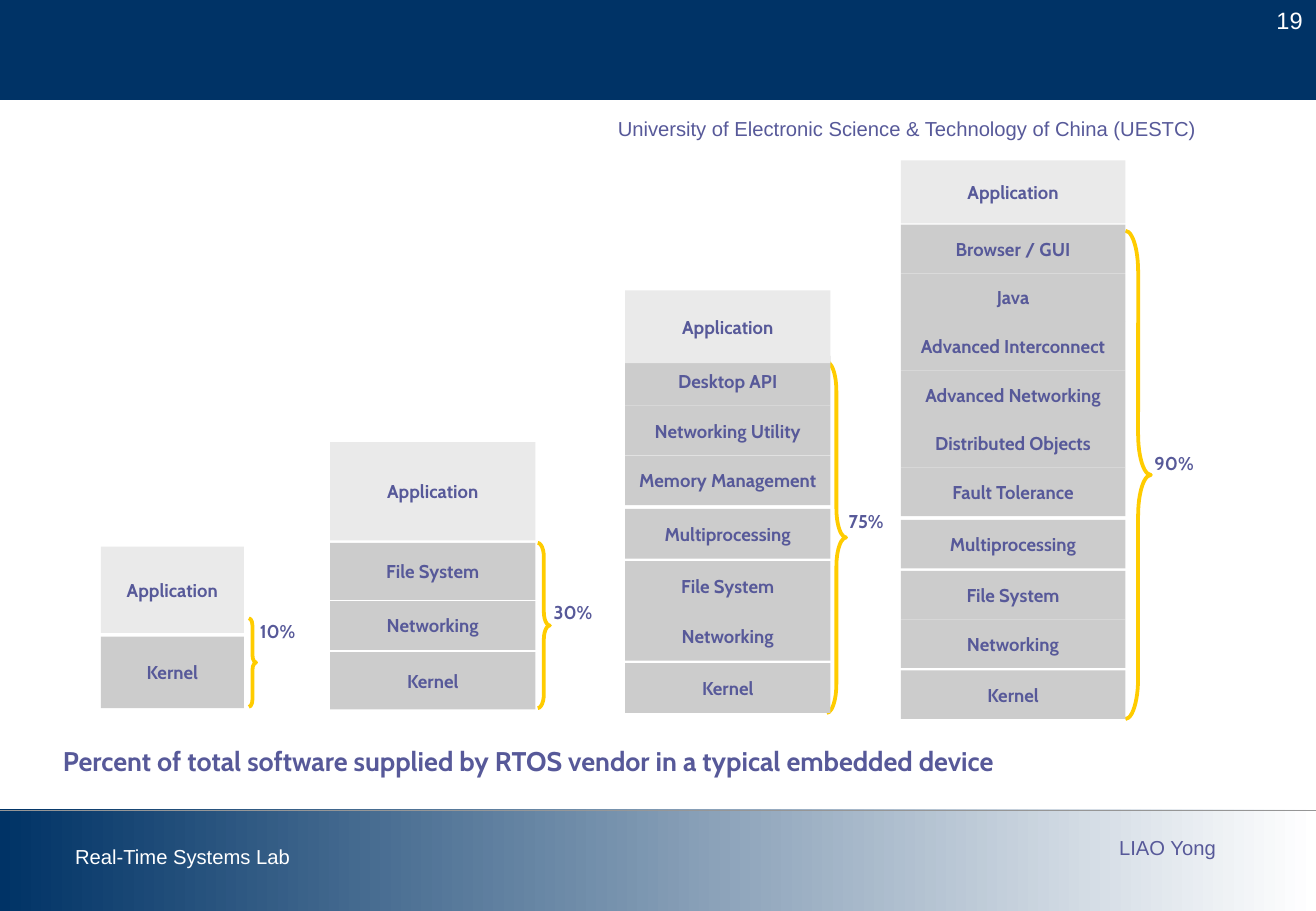
from pptx import Presentation
from pptx import util as u
from pptx.dml.color import RGBColor
from pptx.enum import shapes, text
from pptx.oxml.ns import qn
from lxml import etree

INK = {"navy": "003366", "white": "FFFFFF", "rule": "969696", "text": "575999",
       "gold": "FFCC00", "grey": "CCCCCC", "light": "EAEAEA"}
RGB = {name: RGBColor.from_string(code) for name, code in INK.items()}

# Grid: 100 cells to the inch
CELL = u.Inches(0.01)
WIDE, HIGH = 1084, 750

deck = Presentation()
deck.slide_width, deck.slide_height = WIDE * CELL, HIGH * CELL
page = deck.slides.add_slide(deck.slide_layouts[6])


def put(kind, box, fill=None):
    """Add a preset shape, or a text box if kind is None, on the grid."""
    place = [n * CELL for n in box]
    if kind is None:
        return page.shapes.add_textbox(*place)
    item = page.shapes.add_shape(kind, *place)
    item.shadow.inherit = False
    item.line.fill.background()
    if fill:
        item.fill.solid()
        item.fill.fore_color.rgb = RGB[fill]
    else:
        item.fill.background()
    return item


def write(item, words, size, face="Cabin", ink="text", align="LEFT",
          anchor="TOP", wrap=False, inset=True):
    frame = item.text_frame
    frame.word_wrap = wrap
    frame.vertical_anchor = text.MSO_ANCHOR[anchor]
    if not inset:
        frame.margin_left = frame.margin_right = 0
        frame.margin_top = frame.margin_bottom = 0
    line = frame.paragraphs[0]
    line.text = words
    line.alignment = text.PP_ALIGN[align]
    line.font.name, line.font.size = face, u.Pt(size)
    line.font.bold = face == "Cabin"
    line.font.color.rgb = RGB[ink]


# Header and footer bands
RECT = shapes.MSO_SHAPE.RECTANGLE
put(RECT, (0, 0, WIDE, 83), "navy")
foot = put(RECT, (0, 666, WIDE, 84))
foot.fill.gradient()
foot.fill.gradient_angle = 0
for stop, ink in zip(foot.fill.gradient_stops, ("navy", "white")):
    stop.color.rgb = RGB[ink]

for row, ink in ((83, "white"), (667, "rule")):
    rule = page.shapes.add_connector(
        shapes.MSO_CONNECTOR.STRAIGHT, 0, row * CELL, WIDE * CELL, row * CELL)
    rule.line.color.rgb = RGB[ink]
    rule.line.width = u.Pt(0.75)
    etree.SubElement(rule.element.spPr, qn("a:effectLst"))

# Header, footer and caption text
write(put(None, (1020, 0, 63, 33)), "19", 14, "Arial", "white", "RIGHT", wrap=True)
write(put(None, (52, 690, 202, 30)), "Real-Time Systems Lab", 12, "Arial", "white")
write(put(None, (912, 683, 101, 30)), "LIAO Yong", 12, "Arial")
write(put(None, (499, 91, 588, 30)),
      "University of Electronic Science & Technology of China (UESTC)",
      12, "Arial", wrap=True)
write(put(None, (42, 608, 958, 37)),
      "Percent of total software supplied by RTOS vendor in a typical embedded device",
      16, wrap=True)

# Stacks: left, width, base, application (top, height), brace, share and its place,
# then blocks from the bottom up as (gap below, row height, labels)
STACKS = [
    (83, 118, 583, (450, 71), (205, 509, 6, 73), "10%", (214, 510),
     [(0, 59, ["Kernel"])]),
    (272, 169, 584, (364, 81), (443, 447, 10, 136), "30%", (456, 495),
     [(0, 47, ["Kernel"]), (2, 40, ["Networking"]), (1, 47, ["File System"])]),
    (515, 169, 587, (239, 60), (681, 298, 16, 289), "75%", (699, 420),
     [(0, 41, ["Kernel"]), (2, 41, ["Networking", "File System"]),
      (2, 41, ["Multiprocessing"]),
      (3, 41, ["Memory Management", "Networking Utility", "Desktop API"])]),
    (742, 185, 592, (132, 52), (927, 190, 21, 402), "90%", (951, 372),
     [(0, 40, ["Kernel"]), (2, 40, ["Networking", "File System"]),
      (2, 40, ["Multiprocessing"]),
      (3, 40, ["Fault Tolerance", "Distributed Objects", "Advanced Networking",
               "Advanced Interconnect", "Java", "Browser / GUI"])]),
]

for left, width, base, app, brace, share, spot, blocks in STACKS:
    # Brace and vendor share
    curl = put(shapes.MSO_SHAPE.RIGHT_BRACE, brace)
    curl.adjustments[0] = brace[3] / 12 / brace[2]
    curl.adjustments[1] = 0.5
    curl.line.color.rgb = RGB["gold"]
    curl.line.width = u.Pt(2.25)
    write(put(None, (*spot, 54, 18)), share, 11, wrap=True, inset=False)

    # Vendor layers, then the application on top
    layers = []
    top = base
    for gap, high, names in blocks:
        top -= gap
        for name in names:
            top -= high
            layers.append((name, top, high, "grey"))
    layers.append(("Application", *app, "light"))
    for name, top, high, fill in layers:
        write(put(RECT, (left, top, width, high), fill), name, 11,
              align="CENTER", anchor="MIDDLE")

deck.save("out.pptx")
